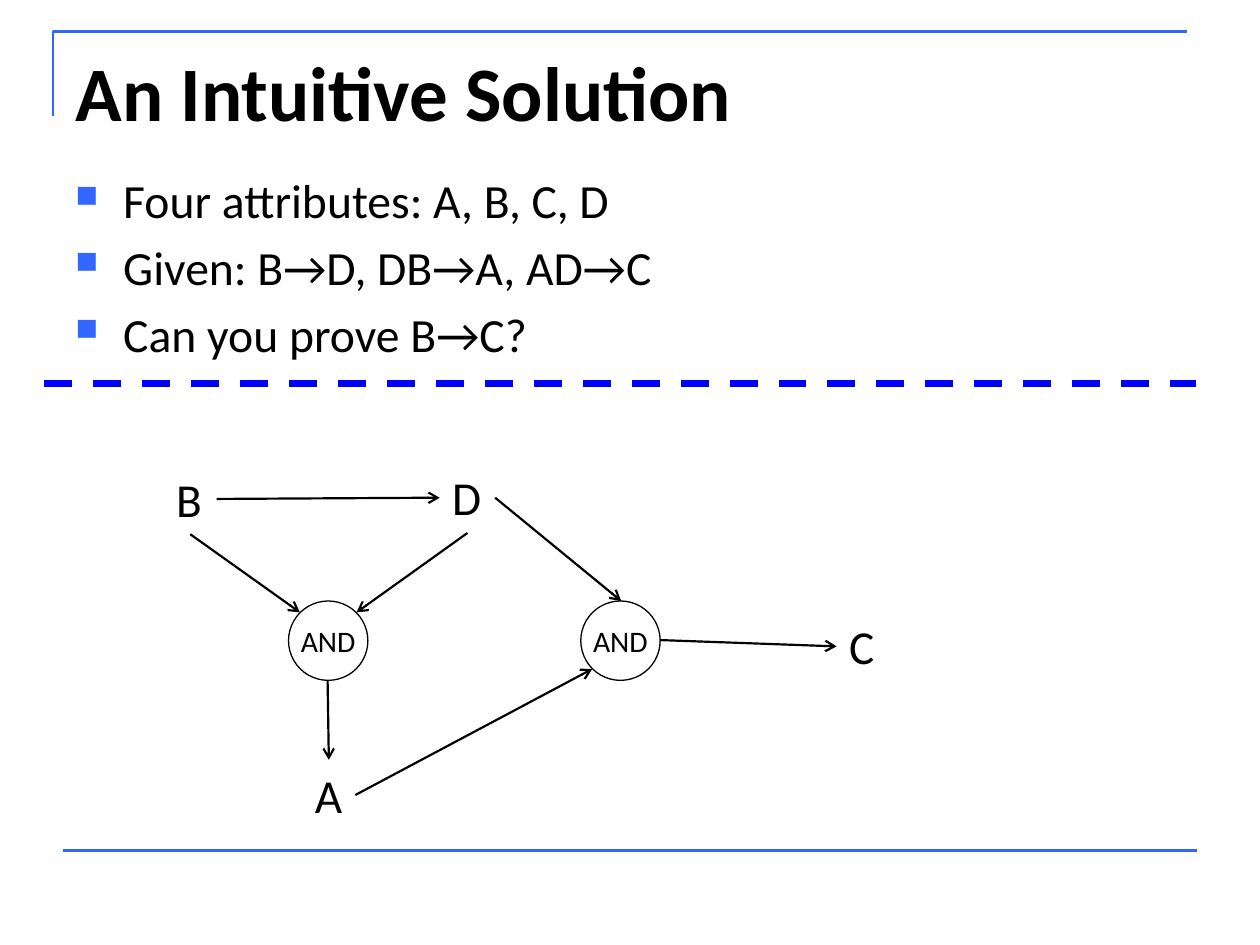
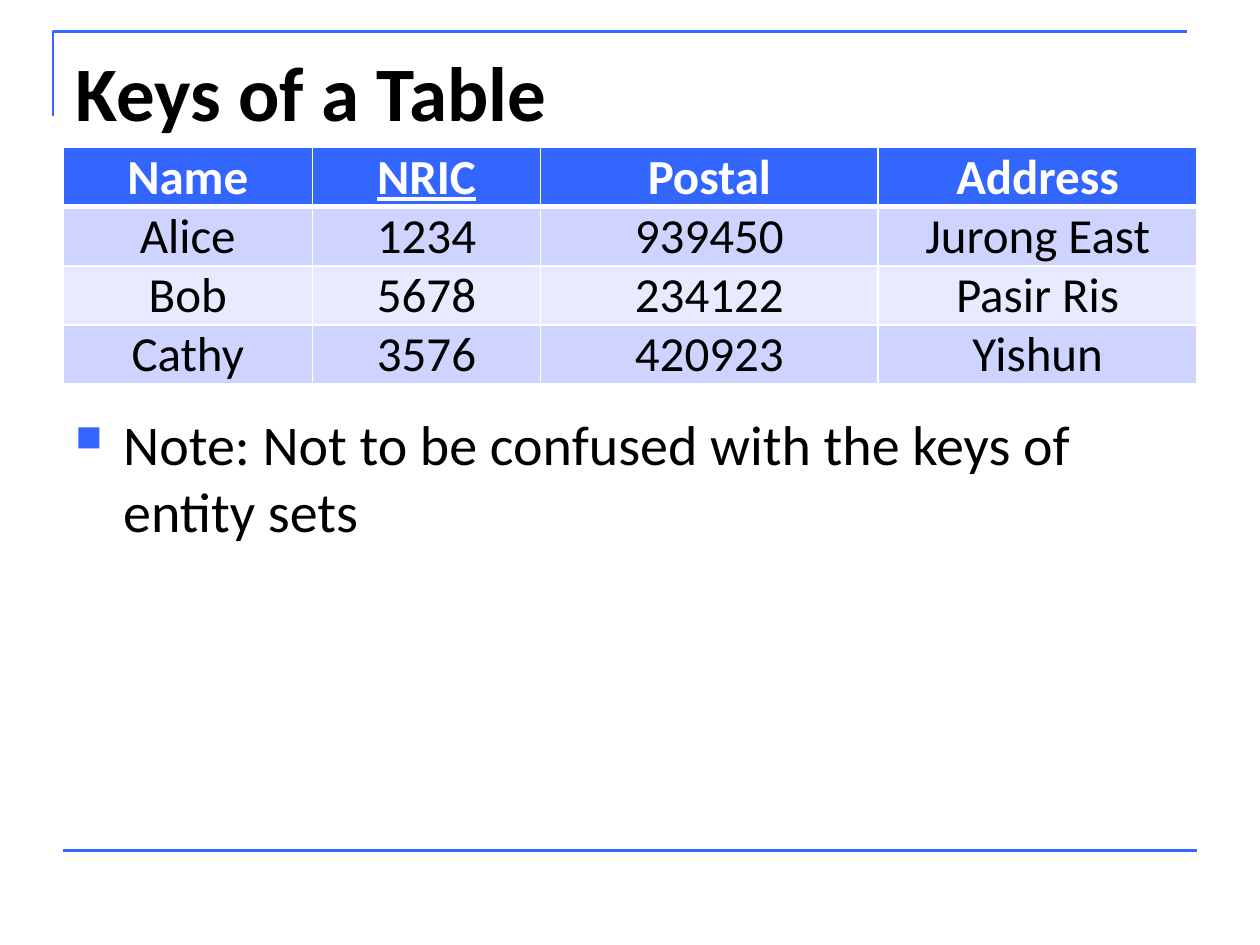
from collections import namedtuple
from dataclasses import dataclass
from math import sqrt

from pptx import Presentation
from pptx.dml.color import RGBColor
from pptx.enum.dml import MSO_LINE
from pptx.enum.shapes import MSO_CONNECTOR, MSO_SHAPE
from pptx.enum.text import MSO_ANCHOR, MSO_AUTO_SIZE, PP_ALIGN
from pptx.oxml.ns import qn
from pptx.util import Inches, Pt
from lxml import etree

STRAIGHT = MSO_CONNECTOR.STRAIGHT
DASH = MSO_LINE.DASH
ELLIPSE = MSO_SHAPE.OVAL
TOP, MIDDLE = MSO_ANCHOR.TOP, MSO_ANCHOR.MIDDLE
LEFT, CENTER = PP_ALIGN.LEFT, PP_ALIGN.CENTER
NO_FIT, GROW = MSO_AUTO_SIZE.NONE, MSO_AUTO_SIZE.SHAPE_TO_FIT_TEXT
TITLE_ONLY = 5


@dataclass(frozen=True)
class Theme:
    """Colours, font and type sizes shared by the slides."""
    font: str = "Calibri"
    text: str = "000000"
    paper: str = "FFFFFF"
    accent: str = "3366FF"
    divider: str = "0000FF"
    band_dark: str = "CED3FF"
    band_light: str = "E8EAFF"
    title: float = 44
    note: float = 32
    cell: float = 28
    bullet: float = 27.2
    attribute: float = 27
    gate: float = 17


THEME = Theme()
Node = namedtuple("Node", "label left top width height is_gate")

GATE = 0.63
NODES = {
    "A": Node("A", 2.4, 6.03, 0.42, 0.56, False),
    "B": Node("B", 1.3, 3.68, 0.42, 0.56, False),
    "C": Node("C", 6.64, 4.85, 0.4, 0.56, False),
    "D": Node("D", 3.49, 3.67, 0.44, 0.56, False),
    "BD": Node("AND", 2.29, 4.77, GATE, GATE, True),
    "AD": Node("AND", 4.61, 4.77, GATE, GATE, True),
}
SIDES = {
    "top": (0, -1), "bottom": (0, 1), "left": (-1, 0), "right": (1, 0),
    "top left": (-sqrt(0.5), -sqrt(0.5)), "top right": (sqrt(0.5), -sqrt(0.5)),
    "bottom left": (-sqrt(0.5), sqrt(0.5)),
}
IMPLICATIONS = [
    ("B", "right", "D", "left"),
    ("B", "bottom", "BD", "top left"),
    ("D", "bottom", "BD", "top right"),
    ("BD", "bottom", "A", "top"),
    ("D", "right", "AD", "top"),
    ("A", "right", "AD", "bottom left"),
    ("AD", "right", "C", "left"),
]
PEOPLE = [
    ["Name", "NRIC", "Postal", "Address"],
    ["Alice", "1234", "939450", "Jurong East"],
    ["Bob", "5678", "234122", "Pasir Ris"],
    ["Cathy", "3576", "420923", "Yishun"],
]
PRIMARY_KEY = "NRIC"
COLUMN_WIDTHS = [1.98, 1.81, 2.68, 2.53]
ROW_HEIGHT = 0.47


def rgb(colour):
    """Turn a hex string into a colour."""
    return RGBColor.from_string(colour)


def write(paragraph, text, size, colour=THEME.text, bold=False, underline=False,
          align=LEFT, before=0):
    """Write one formatted run into a paragraph."""
    paragraph.alignment = align
    paragraph.space_before = Pt(before)
    run = paragraph.add_run()
    run.text = text
    run.font.name = THEME.font
    run.font.size = Pt(size)
    run.font.bold = bold
    run.font.underline = underline
    run.font.color.rgb = rgb(colour)


def add_bullet_mark(paragraph):
    """Give a paragraph a hanging square in the accent colour."""
    properties = paragraph._p.get_or_add_pPr()
    properties.set("marL", str(Inches(0.38)))
    properties.set("indent", str(Inches(-0.38)))
    colour = etree.SubElement(properties, qn("a:buClr"))
    etree.SubElement(colour, qn("a:srgbClr"), val=THEME.accent)
    etree.SubElement(properties, qn("a:buSzPct"), val="65000")
    etree.SubElement(properties, qn("a:buChar"), char="■")


def add_bullets(slide, lines, top, height, size):
    """Add a full-width list of bulleted lines."""
    body = slide.shapes.add_textbox(Inches(0.5), Inches(top), Inches(9), Inches(height))
    frame = body.text_frame
    frame.word_wrap = True
    for index, line in enumerate(lines):
        paragraph = frame.add_paragraph() if index else frame.paragraphs[0]
        write(paragraph, line, size, before=round(size * 0.2, 1))
        add_bullet_mark(paragraph)


def add_line(slide, start, end, colour, width, dash=None, arrow=False):
    """Draw a straight line, with an open arrowhead if asked."""
    line = slide.shapes.add_connector(STRAIGHT, *map(Inches, start + end))
    line.line.color.rgb = rgb(colour)
    line.line.width = Pt(width)
    if dash:
        line.line.dash_style = dash
    if arrow:
        etree.SubElement(line.line._get_or_add_ln(), qn("a:tailEnd"), type="arrow")
    etree.SubElement(line._element.spPr, qn("a:effectLst"))


def add_frame(slide):
    """Draw the corner rule above the title and the footer rule."""
    builder = slide.shapes.build_freeform(Inches(0.42), Inches(0.92))
    builder.add_line_segments(
        [(Inches(0.42), Inches(0.25)), (Inches(9.42), Inches(0.25))], close=False)
    corner = builder.convert_to_shape()
    corner.shadow.inherit = False
    corner.fill.background()
    corner.line.color.rgb = rgb(THEME.accent)
    corner.line.width = Pt(1.5)
    add_line(slide, (0.5, 6.75), (9.5, 6.75), THEME.accent, 1.5)


def add_titled_slide(deck, heading):
    """Add a slide with the shared rules and title style."""
    slide = deck.slides.add_slide(deck.slide_layouts[TITLE_ONLY])
    add_frame(slide)
    title = slide.shapes.title
    title.left, title.top = Inches(0.5), Inches(0.3)
    title.width, title.height = Inches(9), Inches(1.25)
    frame = title.text_frame
    frame.auto_size = NO_FIT
    frame.vertical_anchor = TOP
    write(frame.paragraphs[0], heading, THEME.title, bold=True)
    return slide


def add_attribute(slide, node):
    """Add the letter of an attribute."""
    letter = slide.shapes.add_textbox(*map(Inches, node[1:5]))
    letter.text_frame.word_wrap = False
    letter.text_frame.auto_size = GROW
    write(letter.text_frame.paragraphs[0], node.label, THEME.attribute)


def add_gate(slide, node):
    """Add a circled gate that joins two attributes."""
    gate = slide.shapes.add_shape(ELLIPSE, *map(Inches, node[1:5]))
    gate.shadow.inherit = False
    gate.fill.background()
    gate.line.color.rgb = rgb(THEME.text)
    gate.line.width = Pt(0.75)
    frame = gate.text_frame
    frame.margin_left = frame.margin_right = frame.margin_top = frame.margin_bottom = 0
    frame.vertical_anchor = MIDDLE
    frame.word_wrap = False
    write(frame.paragraphs[0], node.label, THEME.gate, align=CENTER,
          before=THEME.gate / 2)


def anchor_point(node, side):
    """Find where an arrow meets the given side of a node."""
    across, down = SIDES[side]
    return (round(node.left + node.width * (1 + across) / 2, 2),
            round(node.top + node.height * (1 + down) / 2, 2))


def add_borders(cell, widths):
    """Draw the cell borders from widths keyed by side letter."""
    properties = cell._tc.get_or_add_tcPr()
    for side, width in widths.items():
        border = etree.SubElement(properties, qn("a:ln" + side), w=str(Pt(width)))
        fill = etree.SubElement(border, qn("a:solidFill"))
        etree.SubElement(fill, qn("a:srgbClr"), val=THEME.paper)


def add_people_table(slide):
    """Add the table of people with its key underlined."""
    table = slide.shapes.add_table(
        len(PEOPLE), len(COLUMN_WIDTHS), Inches(0.5), Inches(1.17),
        Inches(sum(COLUMN_WIDTHS)), Inches(ROW_HEIGHT * len(PEOPLE))).table
    table.horz_banding = False
    for column, width in zip(table.columns, COLUMN_WIDTHS):
        column.width = Inches(width)
    for row, values in enumerate(PEOPLE):
        header = row == 0
        band = THEME.band_dark if row % 2 else THEME.band_light
        for column, value in enumerate(values):
            cell = table.cell(row, column)
            cell.margin_left = cell.margin_right = Inches(0.1)
            cell.margin_top = cell.margin_bottom = 0
            add_borders(cell, {"L": 1, "R": 1, "T": 3 if row == 1 else 1,
                               "B": 3 if header else 1})
            cell.fill.solid()
            cell.fill.fore_color.rgb = rgb(THEME.accent if header else band)
            write(cell.text_frame.paragraphs[0], value, THEME.cell,
                  colour=THEME.paper if header else THEME.text,
                  bold=header, underline=value == PRIMARY_KEY, align=CENTER)


def build_solution_slide(deck):
    """Build the slide that derives C from B."""
    slide = add_titled_slide(deck, "An Intuitive Solution")
    add_bullets(slide, ["Four attributes: A, B, C, D", "Given: B→D, DB→A, AD→C",
                        "Can you prove B→C?"], 1.31, 1.5, THEME.bullet)
    add_line(slide, (0.35, 3.04), (9.49, 3.04), THEME.divider, 4, dash=DASH)
    for node in NODES.values():
        draw = add_gate if node.is_gate else add_attribute
        draw(slide, node)
    for source, exit_side, target, entry_side in IMPLICATIONS:
        add_line(slide, anchor_point(NODES[source], exit_side),
                 anchor_point(NODES[target], entry_side), THEME.text, 1.25, arrow=True)


def build_keys_slide(deck):
    """Build the slide about keys of a table."""
    slide = add_titled_slide(deck, "Keys of a Table")
    add_bullets(slide, ["Note: Not to be confused with the keys of entity sets"],
                3.2, 3.51, THEME.note)
    add_people_table(slide)


def main():
    """Build and save the deck."""
    deck = Presentation()
    deck.slide_width, deck.slide_height = Inches(10), Inches(7.5)
    build_solution_slide(deck)
    build_keys_slide(deck)
    deck.save("out.pptx")


main()
